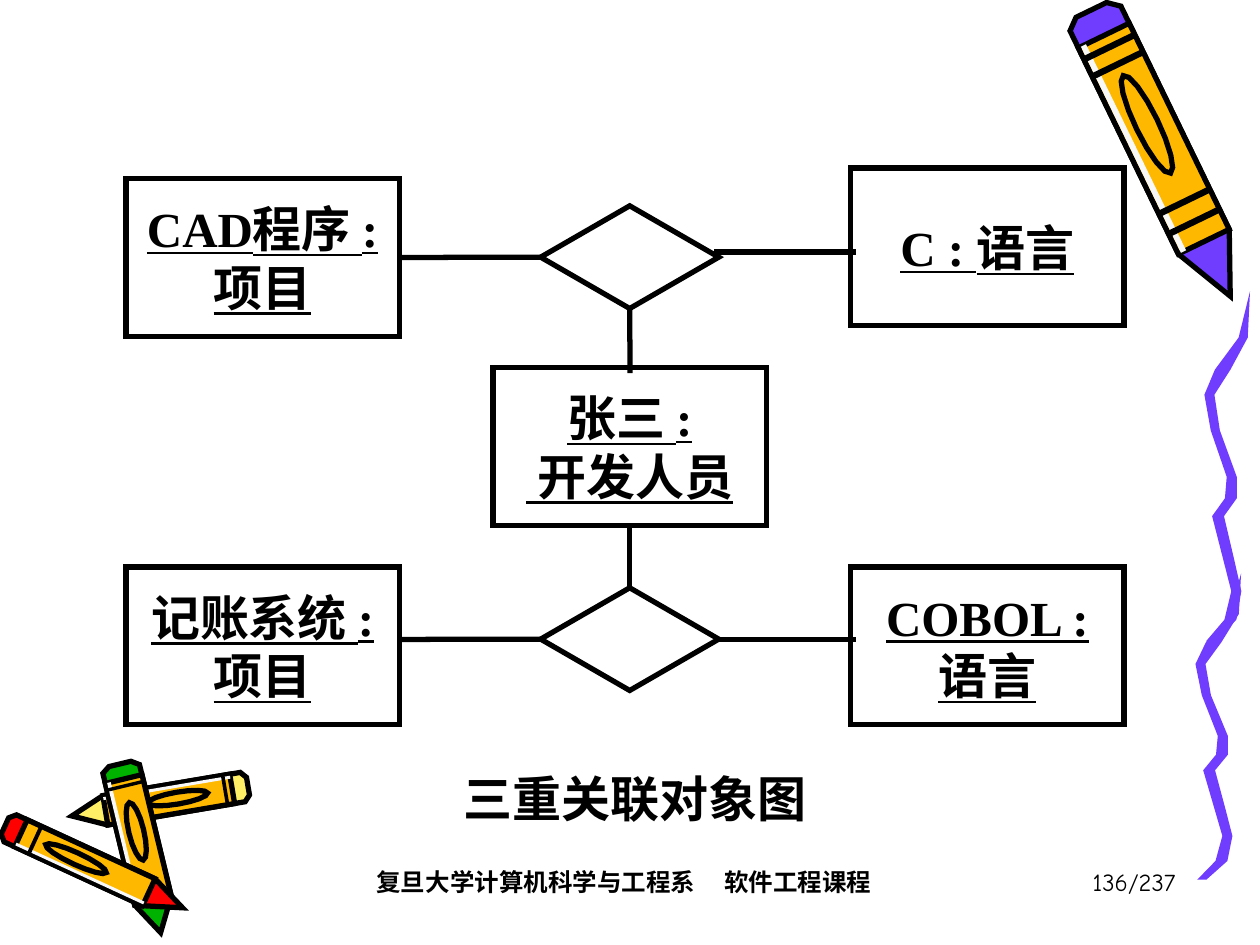
from dataclasses import dataclass
from math import cos, hypot, pi, sin
from typing import Optional

from lxml.etree import SubElement
from pptx import Presentation
from pptx.dml.color import RGBColor
from pptx.enum.shapes import MSO_CONNECTOR, MSO_SHAPE
from pptx.enum.text import MSO_ANCHOR, PP_ALIGN
from pptx.oxml.ns import qn
from pptx.shapes.autoshape import Shape
from pptx.slide import Slide
from pptx.util import Cm, Pt

BLACK = RGBColor(0x00, 0x00, 0x00)
PALE = RGBColor(0xF8, 0xF8, 0xF8)
PURPLE = RGBColor(0x70, 0x3D, 0xFF)
ORANGE = RGBColor(0xFF, 0xB8, 0x00)
YELLOW = RGBColor(0xFF, 0xEF, 0x66)
RED = RGBColor(0xFF, 0x00, 0x00)
GREEN = RGBColor(0x00, 0xB2, 0x00)

BODY_FONT = "Times New Roman"
FOOTER_FONT = "Comic Neue"
TOP, LEFT, BOTTOM, RIGHT = range(4)
Point = tuple[float, float]


@dataclass(frozen=True)
class Pencil:
    tail: Point
    tip: Point
    half_width: float
    tip_colour: RGBColor
    bands: tuple[float, ...]

    def place(self, along: float, across: float) -> Point:
        run, rise = self.tip[0] - self.tail[0], self.tip[1] - self.tail[1]
        offset = across * self.half_width / hypot(run, rise)
        return (self.tail[0] + along * run - offset * rise,
                self.tail[1] + along * rise + offset * run)


@dataclass(frozen=True)
class Ribbon:
    left: float
    top: float
    width: float
    height: float


@dataclass(frozen=True)
class Entity:
    left: float
    top: float
    label: str


@dataclass(frozen=True)
class Joint:
    shape: Shape
    side: int


@dataclass(frozen=True)
class Caption:
    left: float
    top: float
    width: float
    text: str
    align: PP_ALIGN
    font: str
    size: int
    bold: bool = True
    wrap: bool = True
    inset: float = 0.25
    anchor: MSO_ANCHOR = MSO_ANCHOR.TOP


SHOULDER, CAP = 0.81, 0.09
HULL = [(0.03, -1), (0, -0.6), (0, 0.6), (0.03, 1), (SHOULDER, 1), (1, 0), (SHOULDER, -1)]
GRAIN = [(0.4 + 0.17 * cos(step * pi / 8), 0.4 * sin(step * pi / 8)) for step in range(16)]
PENCILS = [
    Pencil((22, 0.2), (24.8, 5.97), 0.57, PURPLE, (0.12, 0.18, 0.66, 0.73)),
    Pencil((5, 15.85), (1.45, 16.45), 0.3, YELLOW, (0.12,)),
    Pencil((2.42, 15.4), (3.24, 18.8), 0.38, GREEN, (0.12,)),
    Pencil((0.1, 16.65), (3.68, 18.3), 0.3, RED, (0.16,)),
]

WAVE = [(1, 0, 0), (0.85, 0.13, 0.1), (0.4, 0.22, 0.17), (0.11, 0.29, 0.11), (0.24, 0.39, 0.1),
        (0.6, 0.52, 0.11), (0.58, 0.58, 0.13), (0.3, 0.63, 0.13), (0.53, 0.75, 0.12),
        (0.7, 0.84, 0.11), (0.57, 0.92, 0.13), (0.14, 0.98, 0.1)]
RIBBONS = [Ribbon(24.1, 11.56, 0.92, 6.3), Ribbon(24.28, 5.87, 0.92, 7.2)]

NEAR, FAR = 2.54, 17.15
ENTITIES = [
    Entity(NEAR, 3.6, "CAD程序 : 项目"),
    Entity(FAR, 3.39, "C : 语言"),
    Entity(NEAR, 11.43, "记账系统 : 项目"),
    Entity(FAR, 11.43, "COBOL : 语言"),
    Entity(9.94, 7.41, "张三 :\n 开发人员"),
]

CAPTIONS = [
    Caption(5.08, 17.35, 15.04, "复旦大学计算机科学与工程系\t软件工程课程",
            PP_ALIGN.LEFT, FOOTER_FONT, 14, inset=2.51),
    Caption(18.67, 17.35, 5.28, "136/237", PP_ALIGN.RIGHT, FOOTER_FONT, 14, bold=False),
    Caption(8.46, 15.45, 8.69, "三重关联对象图", PP_ALIGN.CENTER, BODY_FONT, 28,
            wrap=False, anchor=MSO_ANCHOR.MIDDLE),
]


def style_shape(shape: Shape, fill: Optional[RGBColor], line_width: float) -> None:
    shape.shadow.inherit = False
    if fill is None:
        shape.fill.background()
    else:
        shape.fill.solid()
        shape.fill.fore_color.rgb = fill
    if line_width:
        shape.line.color.rgb = BLACK
        shape.line.width = Pt(line_width)
        SubElement(shape._element.spPr.find(qn("a:ln")), qn("a:miter"), lim="800000")
    else:
        shape.line.fill.background()


def draw_polygon(page: Slide, points: list[Point], fill: Optional[RGBColor],
                 line_width: float = 0) -> None:
    corners = [(Cm(x), Cm(y)) for x, y in points]
    builder = page.shapes.build_freeform(*corners[0], scale=1.0)
    builder.add_line_segments(corners[1:], close=True)
    style_shape(builder.convert_to_shape(), fill, line_width)


def draw_pencil(page: Slide, pencil: Pencil) -> None:
    def strip(start: float, end: float, low: float = -1, high: float = 1) -> list[Point]:
        return [(start, low), (end, low), (end, high), (start, high)]

    parts = [
        (HULL, pencil.tip_colour, 3),
        (strip(CAP, SHOULDER), ORANGE, 3),
        (strip(CAP, SHOULDER, 0.7, 0.9), PALE, 0),
        (GRAIN, None, 3),
        *((strip(band, band + 0.02), BLACK, 0) for band in pencil.bands),
    ]
    for outline, fill, line_width in parts:
        draw_polygon(page, [pencil.place(*point) for point in outline], fill, line_width)


def draw_ribbon(page: Slide, ribbon: Ribbon) -> None:
    left_edge = [(x - half, y) for x, y, half in WAVE]
    right_edge = [(x + half, y) for x, y, half in reversed(WAVE)]
    draw_polygon(page, [(ribbon.left + x * ribbon.width, ribbon.top + y * ribbon.height)
                        for x, y in left_edge + right_edge], PURPLE)


def draw_outlined(page: Slide, kind: MSO_SHAPE, left: float, top: float,
                  width: float, height: float) -> Shape:
    shape = page.shapes.add_shape(kind, Cm(left), Cm(top), Cm(width), Cm(height))
    style_shape(shape, None, 3)
    return shape


def draw_entity(page: Slide, entity: Entity) -> Shape:
    box = draw_outlined(page, MSO_SHAPE.RECTANGLE, entity.left, entity.top, 5.51, 3.18)
    frame = box.text_frame
    frame.word_wrap = True
    frame.vertical_anchor = MSO_ANCHOR.MIDDLE
    frame.text = entity.label
    for para in frame.paragraphs:
        para.alignment = PP_ALIGN.CENTER
        para._p.get_or_add_pPr().set("hangingPunct", "0")
        para.font.name, para.font.size = BODY_FONT, Pt(28)
        para.font.bold = para.font.underline = True
        para.font.color.rgb = BLACK
    return box


def draw_diamond(page: Slide, top: float) -> Shape:
    return draw_outlined(page, MSO_SHAPE.FLOWCHART_DECISION, 10.9, top, 3.59, 2.07)


def draw_line(page: Slide, start: Point, end: Point, begin_joint: Optional[Joint] = None,
              end_joint: Optional[Joint] = None) -> None:
    line = page.shapes.add_connector(MSO_CONNECTOR.STRAIGHT, *map(Cm, start + end))
    line.line.color.rgb = BLACK
    line.line.width = Pt(3)
    SubElement(line._element.spPr, qn("a:effectLst"))
    if begin_joint:
        line.begin_connect(begin_joint.shape, begin_joint.side)
    if end_joint:
        line.end_connect(end_joint.shape, end_joint.side)


def draw_caption(page: Slide, caption: Caption) -> None:
    box = page.shapes.add_textbox(Cm(caption.left), Cm(caption.top), Cm(caption.width), Cm(1.27))
    frame = box.text_frame
    frame.word_wrap = caption.wrap
    frame.vertical_anchor = caption.anchor
    frame.margin_left = Cm(caption.inset)
    para = frame.paragraphs[0]
    para.text = caption.text
    para.alignment = caption.align
    if "\t" in caption.text:
        tabs = SubElement(para._p.get_or_add_pPr(), qn("a:tabLst"))
        SubElement(tabs, qn("a:tab"), pos=str(Cm(7.01)), algn="l")
    para.font.name, para.font.size = caption.font, Pt(caption.size)
    para.font.bold = caption.bold
    para.font.color.rgb = BLACK


def main() -> None:
    deck = Presentation()
    deck.slide_width, deck.slide_height = Cm(25.4), Cm(19.05)
    page = deck.slides.add_slide(deck.slide_layouts[6])
    for ribbon in RIBBONS:
        draw_ribbon(page, ribbon)
    for pencil in PENCILS:
        draw_pencil(page, pencil)
    cad, _, _, _, developer = [draw_entity(page, entity) for entity in ENTITIES]
    upper, lower = draw_diamond(page, 4.15), draw_diamond(page, 11.85)

    draw_line(page, (10.9, 5.19), (8.05, 5.19), Joint(upper, LEFT), Joint(cad, RIGHT))
    draw_line(page, (10.9, 12.89), (8.05, 12.89), Joint(lower, LEFT))
    draw_line(page, (12.7, 7.52), (12.7, 6.22), end_joint=Joint(upper, BOTTOM))
    draw_line(page, (12.7, 11.85), (12.7, 10.59), Joint(lower, TOP), Joint(developer, BOTTOM))
    for height in (5.08, 12.89):
        draw_line(page, (17.25, height), (14.4, height))
    for caption in CAPTIONS:
        draw_caption(page, caption)
    deck.save("out.pptx")


if __name__ == "__main__":
    main()
